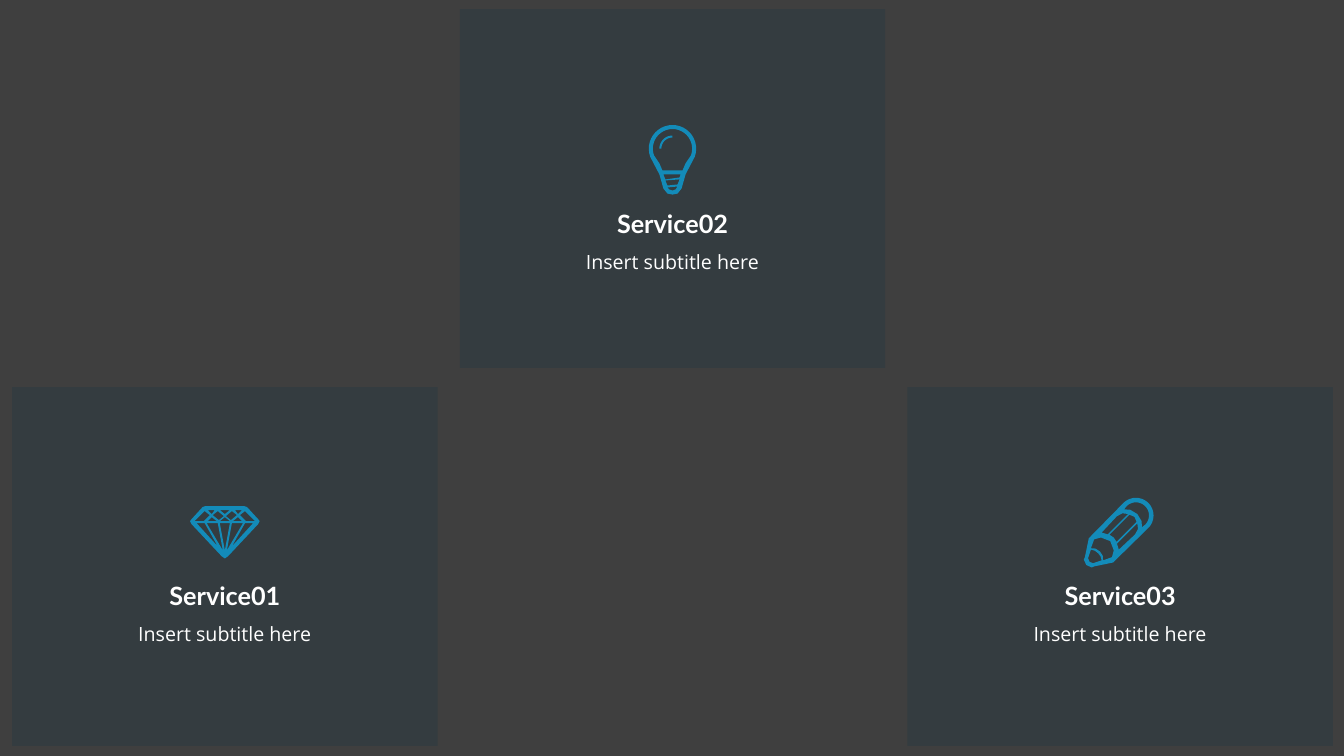
"""Build a slide with three service cards, each with an icon, a title and a subtitle."""
from dataclasses import dataclass
from math import cos, radians, sin

from lxml import etree
from pptx import Presentation
from pptx.dml.color import RGBColor
from pptx.enum.shapes import MSO_SHAPE
from pptx.enum.text import MSO_AUTO_SIZE, PP_ALIGN
from pptx.oxml.ns import qn
from pptx.util import Inches, Pt

RECTANGLE = MSO_SHAPE.RECTANGLE
CENTER = PP_ALIGN.CENTER
FIT_SHAPE = MSO_AUTO_SIZE.SHAPE_TO_FIT_TEXT


@dataclass(frozen=True)
class Theme:
    """Hold the colours, fonts and type sizes of the slide."""

    background: RGBColor = RGBColor.from_string("3F3F3F")
    card: RGBColor = RGBColor.from_string("313C41")
    card_alpha: int = 75
    icon: RGBColor = RGBColor.from_string("138BB9")
    text: RGBColor = RGBColor.from_string("FFFFFF")
    title_font: str = "Lato"
    title_size: int = 18
    subtitle_font: str = "Open Sans"
    subtitle_size: int = 14


THEME = Theme()
CARD_WIDTH, CARD_HEIGHT = 4.22, 3.56
CARD_LEFT, CARD_STEP = 0.12, 4.44
TITLE_WIDTH, TITLE_HEIGHT = 1.32, 0.4
SUBTITLE_WIDTH, SUBTITLE_HEIGHT, SUBTITLE_DROP = 2.73, 0.42, 0.29
ICON_UNIT = 0.01
ARC_STEPS = 12


def arc(center, radius, start, end):
    """Return points of an arc centred on the icon axis."""
    angles = [radians(start + (end - start) * step / ARC_STEPS) for step in range(ARC_STEPS + 1)]
    return [(radius * cos(angle), center + radius * sin(angle)) for angle in angles]


def flip(points):
    """Mirror points across the icon axis."""
    return [(-across, along) for across, along in points]


def whole(half):
    """Close a half profile with its mirror image."""
    return half + flip(half)[::-1]


def pairs(*contours):
    """Return each contour together with its mirror image."""
    return [side for contour in contours for side in (contour, flip(contour))]


def diamond():
    """Return the contours of the diamond."""
    halves = [
        [(0, 0), (19, 0), (22, 1), (33, 13), (34.5, 15), (33, 18), (3, 50), (0, 52)],
        [(0, 11), (5, 15)],
        [(5, 17), (0, 44)],
        [(5, 4), (0, 8)],
    ]
    facets = pairs(
        [(1, 10), (7, 5), (12, 9), (6, 14)],
        [(7, 17), (18, 17), (2, 44)],
        [(8, 15), (13, 11), (17, 15)],
        [(10, 4), (17, 4), (13, 8)],
        [(20, 17), (28, 17), (7, 40)],
        [(21, 15), (15, 9), (20, 5), (30, 15)],
    )
    return [[whole(half) for half in halves] + facets]


def bulb():
    """Return the contours of the bulb and of its glint."""
    glass, middle = 23.5, 20
    outer = arc(glass, glass, -90, middle) + [(13, 49), (9, 63), (5, 68), (0, 69)]
    inner = arc(glass, glass - 4, -90, middle) + [(13, 38), (10, 45)]
    slits = [
        [(-9, 49), (8, 49), (7, 52), (-7, 54)],
        [(-7, 55), (7, 54), (5, 59), (-5, 60)],
        [(-5, 62), (5, 61), (3, 64), (0, 65), (-3, 64)],
    ]
    glint = arc(glass, 13, 180, 270) + arc(glass, 11, 270, 180)
    return [[whole(outer), whole(inner)] + slits, [glint]]


def pencil():
    """Return the contours of the pencil, from its tip upwards."""
    cap = 73
    halves = [
        [(0, 3.5), (5.5, 5.5), (6.5, 8), (17, 24)] + arc(cap, 17.5, 0, 90),
        [(0, 75), (8, 73), (12.5, 69)] + arc(cap, 13, 0, 90),
        [(0, 42), (5, 41), (5, 69), (0, 71)],
        [(0, 8), (3.5, 9.5), (7.5, 17.5), (4, 19.5), (0, 20)],
        [(0, 22.5), (5, 21.5), (8.5, 18.5), (12.5, 27), (9, 33), (0, 37)],
    ]
    sides = pairs([(12, 37), (6.5, 40), (6.5, 68.5), (11, 65), (12.7, 59)])
    return [[whole(half) for half in halves] + sides]


def style_shape(shape, color):
    """Give a shape a plain fill with no line and no shadow."""
    shape.shadow.inherit = False
    shape.fill.solid()
    shape.fill.fore_color.rgb = color
    shape.line.fill.background()


def add_card(page, left, top):
    """Add one translucent card."""
    size = Inches(CARD_WIDTH), Inches(CARD_HEIGHT)
    card = page.shapes.add_shape(RECTANGLE, Inches(left), Inches(top), *size)
    style_shape(card, THEME.card)
    color = card.fill._xPr.find(f"{qn('a:solidFill')}/{qn('a:srgbClr')}")
    etree.SubElement(color, qn("a:alpha"), val=str(THEME.card_alpha * 1000))


def add_label(page, text, place, wrap, line_spacing, font):
    """Add one centred line of text with the given font values."""
    box = page.shapes.add_textbox(*map(Inches, place))
    frame = box.text_frame
    frame.word_wrap = wrap
    frame.auto_size = FIT_SHAPE
    para = frame.paragraphs[0]
    para.alignment = CENTER
    para.line_spacing = line_spacing
    span = para.add_run()
    span.text = text
    for name, value in font.items():
        setattr(span.font, name, value)
    span.font.color.rgb = THEME.text


def locate(point, origin, turn):
    """Turn an icon point and place it on the slide."""
    across, along = point
    cosine, sine = cos(radians(turn)), sin(radians(turn))
    return (Inches(origin[0] + ICON_UNIT * (across * cosine - along * sine)),
            Inches(origin[1] + ICON_UNIT * (across * sine + along * cosine)))


def add_outline(shapes, contours, origin, turn):
    """Add one freeform whose inner contours are holes."""
    builder = None
    for contour in contours:
        start, *rest = [locate(point, origin, turn) for point in contour]
        if builder is None:
            builder = shapes.build_freeform(*start, scale=1.0)
        else:
            builder.move_to(*start)
        builder.add_line_segments(rest, close=True)
    style_shape(builder.convert_to_shape(), THEME.icon)


def add_icon(page, outlines, origin, turn):
    """Add an icon, grouping its outlines when there are several."""
    shapes = page.shapes.add_group_shape().shapes if len(outlines) > 1 else page.shapes
    for contours in outlines:
        add_outline(shapes, contours, origin, turn)


def main():
    """Build the slide and save it."""
    deck = Presentation()
    deck.slide_width, deck.slide_height = Inches(13.33), Inches(7.5)
    page = deck.slides.add_slide(deck.slide_layouts[6])
    page.background.fill.solid()
    page.background.fill.fore_color.rgb = THEME.background
    title_font = {"name": THEME.title_font, "size": Pt(THEME.title_size), "bold": True}
    subtitle_font = {"name": THEME.subtitle_font, "size": Pt(THEME.subtitle_size)}
    services = [
        ("Service01", 3.84, 5.71, diamond(), (2.23, 5.02), 0),
        ("Service02", 0.09, 2.02, bulb(), (6.67, 1.24), 0),
        ("Service03", 3.84, 5.71, pencil(), (10.75, 5.63), -135),
    ]
    for index, (title, top, title_top, outlines, origin, turn) in enumerate(services):
        left = CARD_LEFT + index * CARD_STEP
        center = left + CARD_WIDTH / 2
        add_card(page, left, top)
        add_label(page, title, (center - TITLE_WIDTH / 2, title_top, TITLE_WIDTH, TITLE_HEIGHT),
                  False, 1.0, title_font)
        add_label(page, "Insert subtitle here",
                  (center - SUBTITLE_WIDTH / 2, title_top + SUBTITLE_DROP,
                   SUBTITLE_WIDTH, SUBTITLE_HEIGHT), True, 1.5, subtitle_font)
        add_icon(page, outlines, origin, turn)
    deck.save("out.pptx")


if __name__ == "__main__":
    main()
